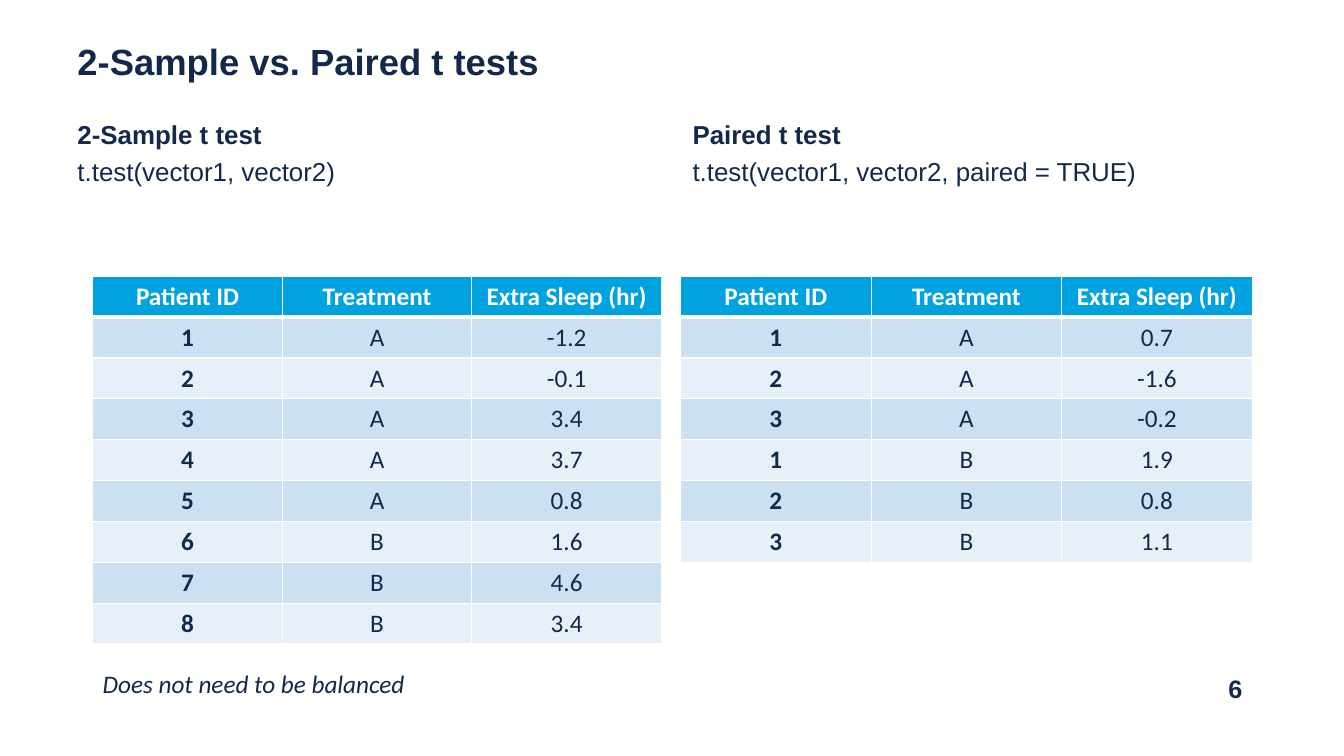
from dataclasses import dataclass

from lxml import etree
from pptx import Presentation
from pptx.dml.color import RGBColor
from pptx.enum.text import MSO_ANCHOR, PP_ALIGN
from pptx.oxml.ns import qn
from pptx.util import Pt

TOP, MIDDLE, BOTTOM = MSO_ANCHOR.TOP, MSO_ANCHOR.MIDDLE, MSO_ANCHOR.BOTTOM
LEFT, CENTER, RIGHT = PP_ALIGN.LEFT, PP_ALIGN.CENTER, PP_ALIGN.RIGHT
SCALE = 9144


@dataclass(frozen=True)
class Theme:
    paper: str = "FFFFFE"
    ink: str = "13294B"
    header: str = "00A3E0"
    bands: tuple = ("CCE0F3", "E7F0F9")
    heading_font: str = "Arial"
    table_font: str = "Calibri"
    title_size: float = 26
    body_size: float = 18.5
    table_size: float = 18
    body_gap: float = 4.3
    thin: float = 1
    thick: float = 3


def px(*lengths):
    return [length * SCALE for length in lengths]


class SlideBuilder:
    def __init__(self, presentation, theme):
        self.theme = theme
        self.slide = presentation.slides.add_slide(presentation.slide_layouts[6])
        fill = self.slide.background.fill
        fill.solid()
        fill.fore_color.rgb = RGBColor.from_string(theme.paper)

    def fill_paragraph(self, paragraph, text, color, align=LEFT, **font_format):
        paragraph.text = text
        paragraph.alignment = align
        font = paragraph.runs[0].font
        for name, value in font_format.items():
            setattr(font, name, value)
        font.color.rgb = RGBColor.from_string(color)

    def text(self, box, lines, size, font, anchor=TOP, align=LEFT, wrap=True, inset=5):
        frame = self.slide.shapes.add_textbox(*px(*box)).text_frame
        frame.word_wrap = wrap
        frame.vertical_anchor = anchor
        frame.margin_top = inset * SCALE
        for index, (line, style) in enumerate(lines):
            paragraph = frame.add_paragraph() if index else frame.paragraphs[0]
            if index:
                paragraph.space_before = Pt(self.theme.body_gap)
            self.fill_paragraph(paragraph, line, self.theme.ink, align,
                                size=Pt(size), name=font, **style)

    def border(self, cell, side, width):
        properties = cell._tc.get_or_add_tcPr()
        line = etree.SubElement(properties, qn(f"a:ln{side}"), w=str(Pt(width)))
        fill = etree.SubElement(line, qn("a:solidFill"))
        etree.SubElement(fill, qn("a:srgbClr"), val=self.theme.paper)

    def table(self, box, rows):
        theme = self.theme
        table = self.slide.shapes.add_table(len(rows), len(rows[0]), *px(*box)).table
        for row_index, row in enumerate(rows):
            is_header = row_index == 0
            background = theme.header if is_header else theme.bands[(row_index - 1) % 2]
            color = theme.paper if is_header else theme.ink
            widths = {
                "L": theme.thin,
                "R": theme.thin,
                "T": theme.thick if row_index == 1 else theme.thin,
                "B": theme.thick if is_header else theme.thin,
            }
            for column_index, value in enumerate(row):
                cell = table.cell(row_index, column_index)
                self.fill_paragraph(cell.text_frame.paragraphs[0], value, color, CENTER,
                                    size=Pt(theme.table_size), name=theme.table_font,
                                    bold=is_header or column_index == 0)
                for side, width in widths.items():
                    self.border(cell, side, width)
                cell.fill.solid()
                cell.fill.fore_color.rgb = RGBColor.from_string(background)


HEADER = ("Patient ID", "Treatment", "Extra Sleep (hr)")
TWO_SAMPLE = [
    ("1", "A", "-1.2"), ("2", "A", "-0.1"), ("3", "A", "3.4"), ("4", "A", "3.7"),
    ("5", "A", "0.8"), ("6", "B", "1.6"), ("7", "B", "4.6"), ("8", "B", "3.4"),
]
PAIRED = [
    ("1", "A", "0.7"), ("2", "A", "-1.6"), ("3", "A", "-0.2"),
    ("1", "B", "1.9"), ("2", "B", "0.8"), ("3", "B", "1.1"),
]
TESTS = [
    (67, "2-Sample t test", "t.test(vector1, vector2)", (92, 274, 564, 365), TWO_SAMPLE),
    (677, "Paired t test", "t.test(vector1, vector2, paired = TRUE)",
     (675, 274, 567, 284), PAIRED),
]


def main():
    presentation = Presentation()
    presentation.slide_width, presentation.slide_height = px(1333, 750)
    theme = Theme()
    builder = SlideBuilder(presentation, theme)
    bold, regular, italic = {"bold": True}, {"bold": False}, {"italic": True}

    builder.text((67, 30, 1200, 39), [("2-Sample vs. Paired t tests", bold)],
                 theme.title_size, theme.heading_font, inset=9)
    for left, name, call, table_box, records in TESTS:
        builder.text((left, 120, 589, 70), [(name, bold), (call, regular)],
                     theme.body_size, theme.heading_font, anchor=BOTTOM)
        builder.table(table_box, [HEADER, *records])
    builder.text((92, 658, 323, 40), [("Does not need to be balanced", italic)],
                 theme.table_size, theme.table_font, wrap=False)
    builder.text((1135, 663, 107, 40), [("6", bold)],
                 theme.table_size, theme.heading_font, anchor=MIDDLE, align=RIGHT)
    presentation.save("out.pptx")


if __name__ == "__main__":
    main()
